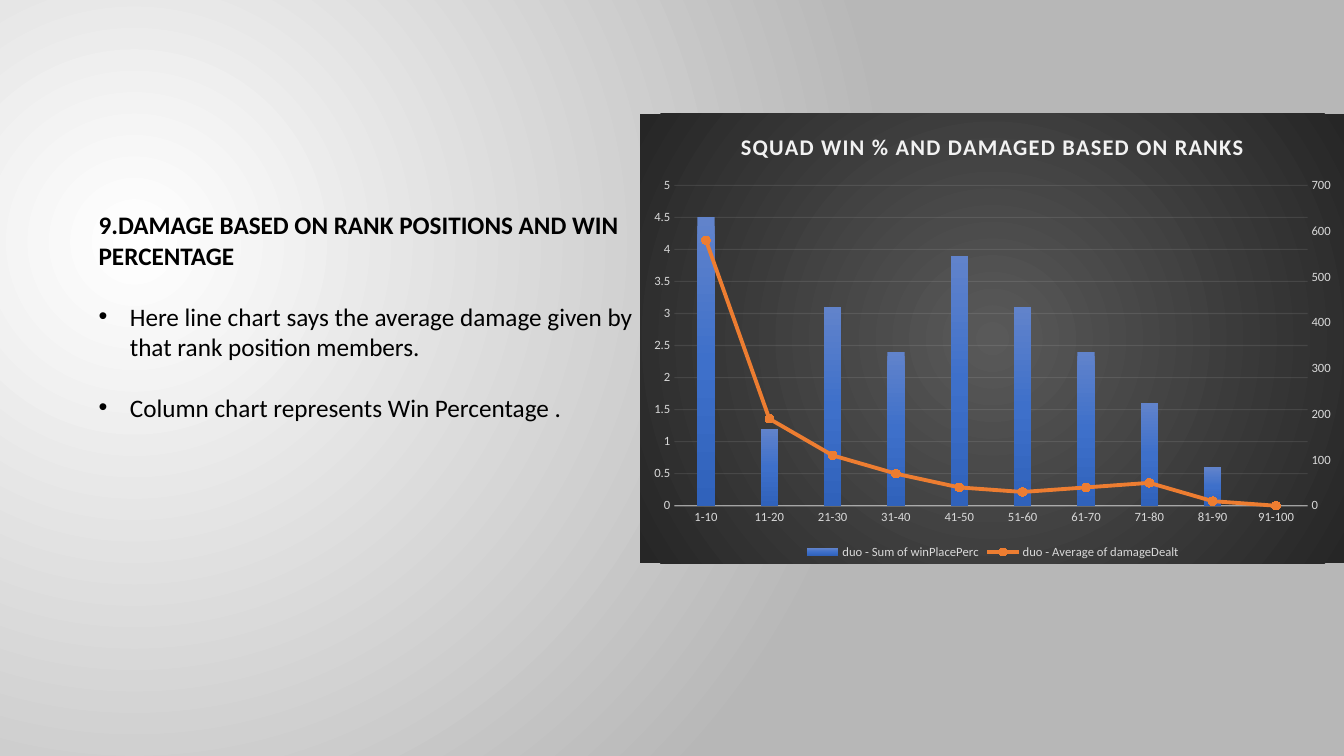
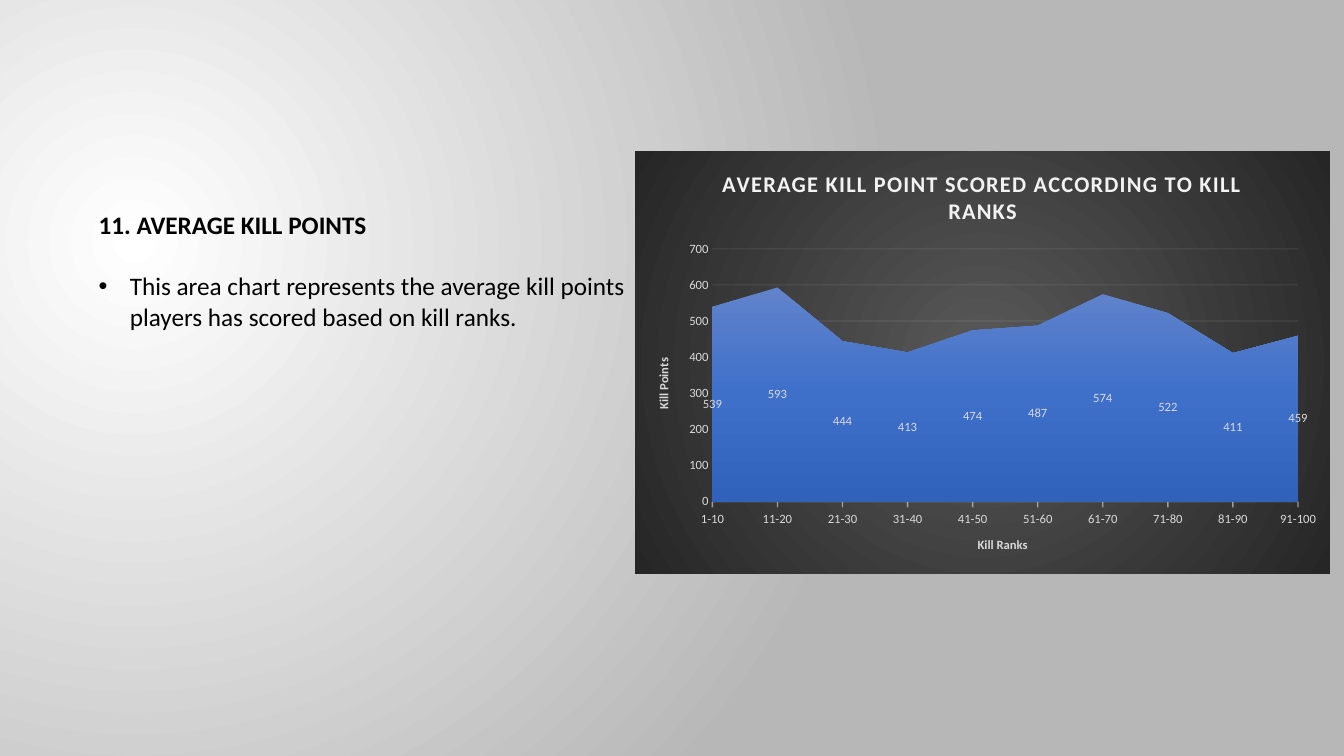
from pptx import Presentation
from pptx.chart.axis import ValueAxis
from pptx.chart.data import CategoryChartData
from pptx.dml.color import RGBColor
from pptx.enum.chart import (XL_CHART_TYPE, XL_LEGEND_POSITION,
                             XL_MARKER_STYLE, XL_TICK_MARK)
from pptx.oxml import parse_xml
from pptx.oxml.ns import nsdecls, qn
from pptx.util import Inches, Pt

COLUMN = XL_CHART_TYPE.COLUMN_CLUSTERED
AREA = XL_CHART_TYPE.AREA
BOTTOM = XL_LEGEND_POSITION.BOTTOM
CIRCLE = XL_MARKER_STYLE.CIRCLE
NO_TICK = XL_TICK_MARK.NONE
OUT_TICK = XL_TICK_MARK.OUTSIDE

FONT = "Calibri"
BLACK, PALE, LIGHT = "000000", "F2F2F2", "D9D9D9"
ORANGE, MARK = "ED7D31", "F67B28"
BACK = ((0, "FFFFFF"), (100, "B7B7B7"))
DARK = ((0, "595959"), (100, "262626"))
BLUE = ((0, "6183CB"), (50, "3E70CA"), (100, "3062BB"))
RANKS = ["1-10"] + [f"{n}1-{n + 1}0" for n in range(1, 10)]

LINE_PLOT = """<c:lineChart %s><c:grouping val="standard"/>
<c:varyColors val="0"/><c:marker val="1"/>
<c:axId val="501"/><c:axId val="502"/></c:lineChart>"""
HIDDEN_AXIS = """<c:catAx %s><c:axId val="501"/>
<c:scaling><c:orientation val="minMax"/></c:scaling><c:delete val="1"/>
<c:axPos val="b"/><c:crossAx val="502"/><c:crosses val="autoZero"/></c:catAx>"""
RIGHT_AXIS = """<c:valAx %s><c:axId val="502"/>
<c:scaling><c:orientation val="minMax"/></c:scaling><c:delete val="0"/>
<c:axPos val="r"/><c:tickLblPos val="nextTo"/><c:crossAx val="501"/>
<c:crosses val="max"/><c:crossBetween val="between"/></c:valAx>"""


def rgb(code):
    return RGBColor.from_string(code)


def blend(stops, rect=None):
    marks = "".join(
        f'<a:gs pos="{pos * 1000}"><a:srgbClr val="{code}"/></a:gs>'
        for pos, code in stops)
    if rect:
        sides = " ".join(f'{side}="{part * 1000}"'
                         for side, part in zip("ltrb", rect))
        way = f'<a:path path="circle"><a:fillToRect {sides}/></a:path>'
    else:
        way = '<a:lin ang="5400000" scaled="0"/>'
    return (f'<a:gradFill {nsdecls("a")} rotWithShape="1">'
            f'<a:gsLst>{marks}</a:gsLst>{way}</a:gradFill>')


def shade(fill, root, stops, rect=None):
    fill.solid()
    old = next(root.iter(qn("a:solidFill")))
    old.getparent().replace(old, parse_xml(blend(stops, rect)))


def style(font, size, color, bold=False):
    font.name = FONT
    font.size = Pt(size)
    font.bold = bold
    font.color.rgb = rgb(color)


def put(frame, text, size=18, color=BLACK, bold=False, bullet=False,
        before=0, track=0):
    para = frame.paragraphs[0]
    if para.runs:
        para = frame.add_paragraph()
    if bullet:
        props = para._p.get_or_add_pPr()
        props.set("marL", str(Inches(0.31)))
        props.set("indent", str(-Inches(0.31)))
        props.append(parse_xml(f'<a:buFont {nsdecls("a")} typeface="Arial"/>'))
        props.append(parse_xml(f'<a:buChar {nsdecls("a")} char="•"/>'))
    if before:
        para.space_before = Pt(before)
    run = para.add_run()
    run.text = text
    style(run.font, size, color, bold)
    if track:
        run._r.get_or_add_rPr().set("spc", str(track))


def add_notes(slide, head, points, height):
    box = slide.shapes.add_textbox(Inches(0.88), Inches(2.03),
                                   Inches(5.8), Inches(height))
    frame = box.text_frame
    frame.word_wrap = True
    put(frame, head, bold=True)
    for point in points:
        put(frame, point, bullet=True, before=22)


def draw_line(line, width, alpha):
    line.width = Pt(width)
    line.color.rgb = rgb(PALE)
    tint = line.fill._xPr.find(".//" + qn("a:srgbClr"))
    tint.append(parse_xml(
        f'<a:alpha {nsdecls("a")} val="{alpha * 1000}"/>'))


def set_axis(axis, tick=NO_TICK, title=None):
    axis.major_tick_mark = tick
    axis.minor_tick_mark = NO_TICK
    style(axis.tick_labels.font, 9, LIGHT)
    if title:
        put(axis.axis_title.text_frame, title, 9, LIGHT, True)


def set_scale(axis, top, step, title=None):
    set_axis(axis, title=title)
    axis.minimum_scale, axis.maximum_scale = 0, top
    axis.major_unit = step
    axis.tick_labels.number_format = "General"
    axis.tick_labels.number_format_is_linked = False
    axis.format.line.fill.background()


def add_graph(slide, kind, place, title, rows, top, step,
              tick=NO_TICK, names=(None, None)):
    data = CategoryChartData()
    data.categories = RANKS
    for name, vals in rows:
        data.add_series(name, vals)
    chart = slide.shapes.add_chart(kind, *map(Inches, place), data).chart
    style(chart.font, 10, BLACK)
    root = chart.element
    root.find(qn("c:txPr")).addprevious(parse_xml(
        f'<c:spPr {nsdecls("c", "a")}>{blend(DARK, (50, 50, 50, 50))}'
        '<a:ln><a:noFill/></a:ln></c:spPr>'))
    put(chart.chart_title.text_frame, title, 16, PALE, True, track=100)
    chart.chart_title.include_in_layout = False
    chart.has_legend = False
    set_axis(chart.category_axis, tick, names[0])
    draw_line(chart.category_axis.format.line, 1, 54)
    set_scale(chart.value_axis, top, step, names[1])
    chart.value_axis.has_major_gridlines = True
    draw_line(chart.value_axis.major_gridlines.format.line, 0.75, 10)
    plot = chart.plots[0]
    plot.vary_by_categories = False
    first = plot.series[0]
    shade(first.format.fill, first._element, BLUE)
    return chart


def split_line(chart, top, step):
    plot = chart.plots[0]._element
    row = plot.findall(qn("c:ser"))[1]
    for flag in row.findall(qn("c:invertIfNegative")):
        row.remove(flag)
    group, hidden, right = (parse_xml(text % nsdecls("c"))
                            for text in (LINE_PLOT, HIDDEN_AXIS, RIGHT_AXIS))
    group.find(qn("c:marker")).addprevious(row)
    plot.addnext(group)
    last = plot.getparent().findall(qn("c:valAx"))[-1]
    last.addnext(hidden)
    hidden.addnext(right)
    set_scale(ValueAxis(right), top, step)
    line = chart.plots[1].series[0]
    line.smooth = False
    line.format.line.width = Pt(2.75)
    line.format.line.color.rgb = rgb(ORANGE)
    line.marker.style = CIRCLE
    line.marker.size = 6
    for paint in (line.marker.format.fill, line.marker.format.line.fill):
        paint.solid()
        paint.fore_color.rgb = rgb(MARK)


def add_legend(chart):
    chart.has_legend = True
    chart.legend.position = BOTTOM
    chart.legend.include_in_layout = False
    style(chart.legend.font, 9, LIGHT)


def add_labels(chart):
    labels = chart.plots[0].series[0].data_labels
    labels.show_value = True
    labels.number_format = "0"
    labels.number_format_is_linked = False
    style(labels.font, 9, LIGHT)


def main():
    deck = Presentation()
    deck.slide_width, deck.slide_height = Inches(13.33), Inches(7.5)
    base = deck.slide_master
    fill = base.background.fill
    shade(fill, base.element.find(".//" + qn("p:bgPr")), BACK,
          (45, 65, 125, 100))
    blank = deck.slide_layouts[6]

    slide = deck.slides.add_slide(blank)
    add_notes(slide, "9.DAMAGE BASED ON RANK POSITIONS AND WIN PERCENTAGE", [
        "Here line chart says the average damage given by that rank "
        "position members.",
        "Column chart represents Win Percentage ."], 2.22)
    chart = add_graph(
        slide, COLUMN, (6.35, 1.13, 6.99, 4.46),
        "SQUAD WIN % AND DAMAGED BASED ON RANKS",
        [("duo - Sum of winPlacePerc",
          (4.5, 1.2, 3.1, 2.4, 3.9, 3.1, 2.4, 1.6, 0.6, 0)),
         ("duo - Average of damageDealt",
          (580, 190, 110, 70, 40, 30, 40, 50, 10, 0))], 5, 0.5)
    chart.plots[0].gap_width = 269
    split_line(chart, 700, 100)
    add_legend(chart)

    slide = deck.slides.add_slide(blank)
    add_notes(slide, "11. AVERAGE KILL POINTS", [
        "This area chart represents the average kill points players has "
        "scored based on kill ranks."], 1.92)
    chart = add_graph(
        slide, AREA, (6.3, 1.5, 6.89, 4.19),
        "AVERAGE KILL POINT SCORED ACCORDING TO KILL RANKS",
        [("Series 1", (539, 593, 444, 413, 474, 487, 574, 522, 411, 459))],
        700, 100, OUT_TICK, ("Kill Ranks", "Kill Points"))
    add_labels(chart)
    deck.save("out.pptx")


if __name__ == "__main__":
    main()
